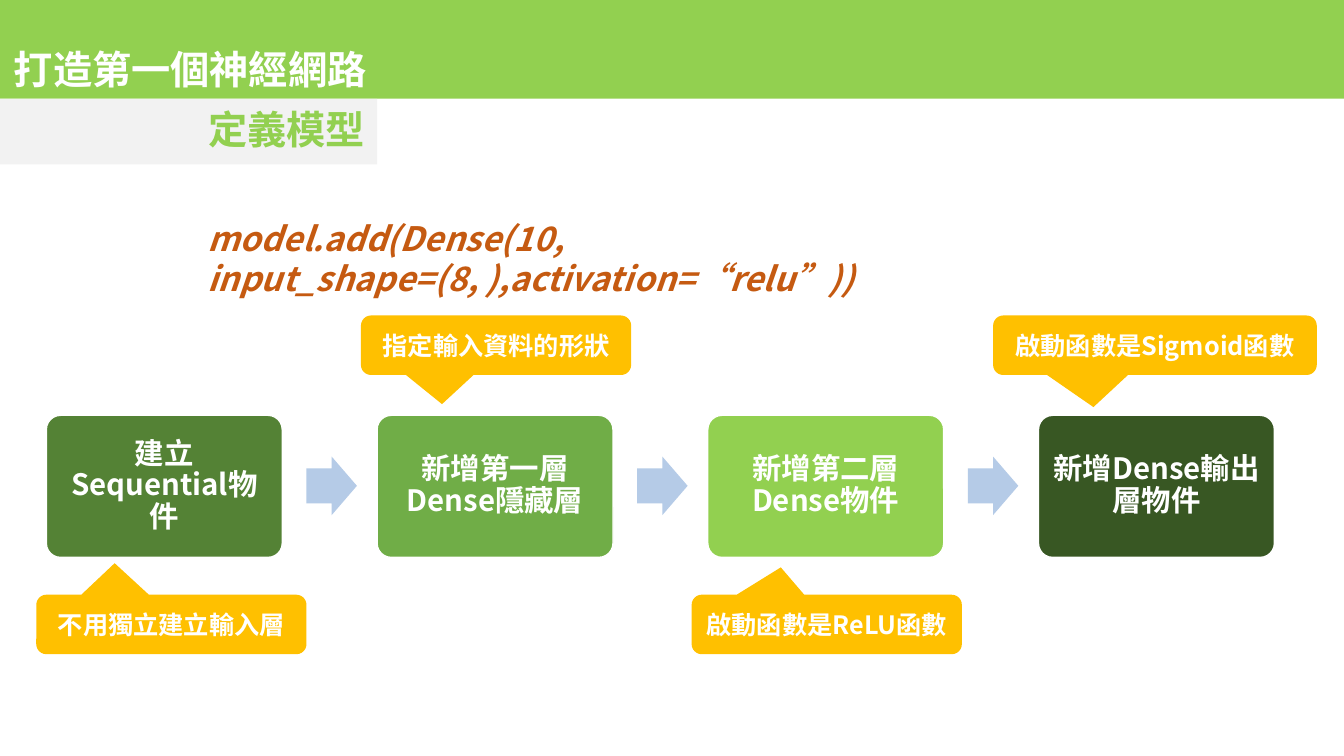
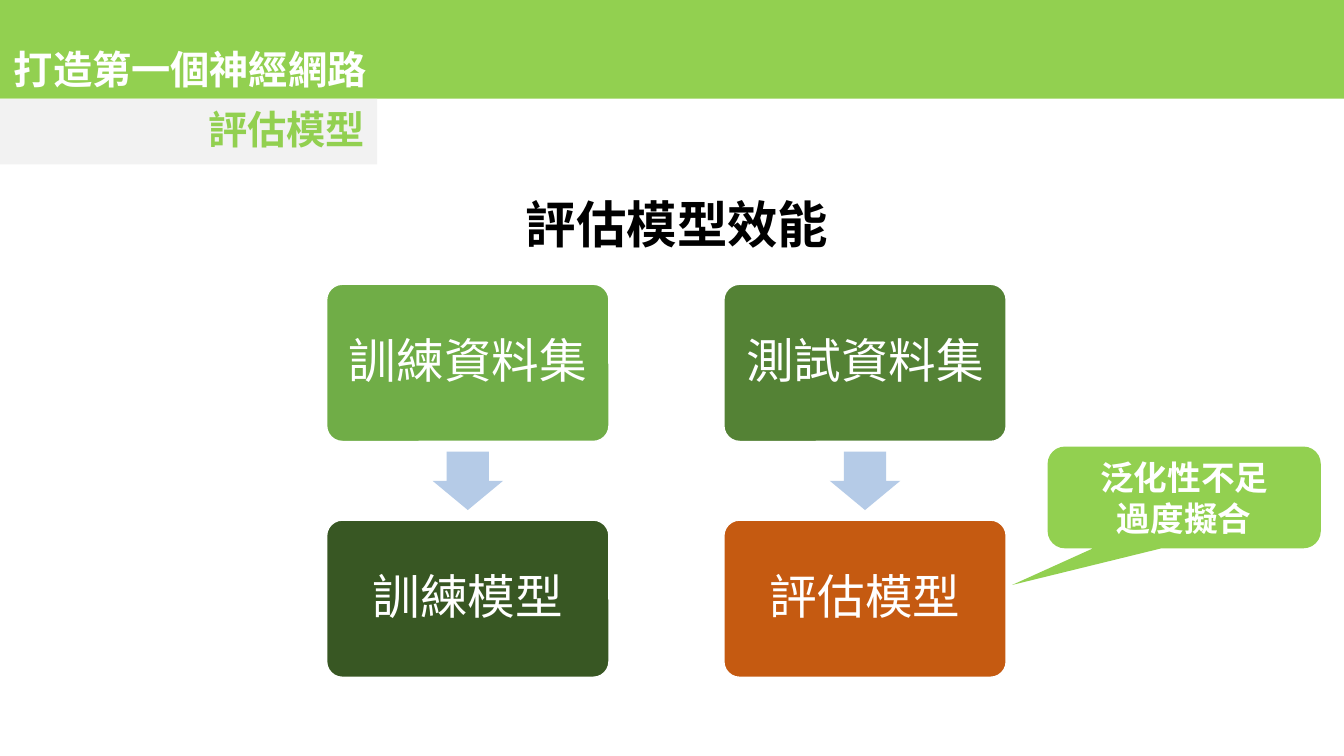
from pptx import Presentation
from pptx import util as u
from pptx.dml.color import RGBColor
from pptx.enum import shapes, text
from pptx.oxml.ns import qn

FONT = "Noto Sans CJK SC"
WHITE = RGBColor(0xFF, 0xFF, 0xFF)
BLACK = RGBColor(0x00, 0x00, 0x00)
LIME = RGBColor(0x92, 0xD0, 0x50)
GREEN = RGBColor(0x70, 0xAD, 0x47)
DARK_GREEN = RGBColor(0x54, 0x82, 0x35)
FOREST = RGBColor(0x38, 0x57, 0x23)
ORANGE = RGBColor(0xC5, 0x5A, 0x11)
AMBER = RGBColor(0xFF, 0xC0, 0x00)
PALE_BLUE = RGBColor(0xB5, 0xCB, 0xE7)
PALE_GRAY = RGBColor(0xF2, 0xF2, 0xF2)

SHAPE = shapes.MSO_SHAPE
ALIGN = text.PP_ALIGN
ANCHOR = text.MSO_ANCHOR
SLIDE_WIDTH, SLIDE_HEIGHT = 13.33, 7.5
CORNER = 0.1
CORNER_INSET_RATIO = 0.29


def write_text(shape, content, size, color=WHITE, bold=True, italic=False,
               align=ALIGN.CENTER, anchor=ANCHOR.MIDDLE, spacing=None, inset=None):
    frame = shape.text_frame
    frame.word_wrap = True
    frame.vertical_anchor = anchor
    if inset is not None:
        frame.margin_left = frame.margin_right = u.Inches(inset)
        frame.margin_top = frame.margin_bottom = u.Inches(inset)
    frame.text = content
    for paragraph in frame.paragraphs:
        paragraph.alignment = align
        if spacing:
            paragraph.line_spacing = spacing
        for run in paragraph.runs:
            font = run.font
            font.name = FONT
            font.size = u.Pt(size)
            font.bold = bold
            font.italic = italic
            font.color.rgb = color
            east_asian = font._element.makeelement(qn("a:ea"), {"typeface": FONT})
            font._element.find(qn("a:latin")).addnext(east_asian)


class Deck:
    def __init__(self):
        self.presentation = Presentation()
        self.presentation.slide_width = u.Inches(SLIDE_WIDTH)
        self.presentation.slide_height = u.Inches(SLIDE_HEIGHT)
        self.slide = None

    def start_slide(self, subtitle):
        blank_layout = self.presentation.slide_layouts[6]
        self.slide = self.presentation.slides.add_slide(blank_layout)
        self.shape(SHAPE.RECTANGLE, 0, 0, SLIDE_WIDTH, 0.98, LIME)
        subtitle_band = self.shape(SHAPE.RECTANGLE, 0, 0.98, 3.74, 0.65, PALE_GRAY)
        write_text(subtitle_band, subtitle, 28, color=LIME, align=ALIGN.RIGHT,
                   spacing=0.9, inset=0.12)
        self.label("打造第一個神經網路", 0.04, 0.24, 3.78, 0.88, size=28,
                   align=ALIGN.LEFT, anchor=ANCHOR.MIDDLE)

    def shape(self, kind, left, top, width, height, fill, adjustments=()):
        shape = self.slide.shapes.add_shape(
            kind, u.Inches(left), u.Inches(top), u.Inches(width), u.Inches(height))
        shape.shadow.inherit = False
        shape.fill.solid()
        shape.fill.fore_color.rgb = fill
        shape.line.fill.background()
        for index, value in enumerate(adjustments):
            shape.adjustments[index] = value
        return shape

    def label(self, content, left, top, width, height, anchor=ANCHOR.TOP, **style):
        box = self.slide.shapes.add_textbox(
            u.Inches(left), u.Inches(top), u.Inches(width), u.Inches(height))
        write_text(box, content, anchor=anchor, **style)

    def step(self, content, left, top, width, height, fill, inset, **style):
        box = self.shape(SHAPE.ROUNDED_RECTANGLE, left, top, width, height, fill, [CORNER])
        box.line.color.rgb = WHITE
        box.line.width = u.Pt(1)
        corner_inset = CORNER_INSET_RATIO * CORNER * height
        write_text(box, content, spacing=0.9, inset=inset - corner_inset, **style)

    def arrow(self, kind, left, top, width, height):
        self.shape(kind, left, top, width, height, PALE_BLUE, [0.6, 0.5])

    def callout(self, content, left, top, width, height, tip, fill=AMBER, size=18):
        bubble = self.shape(SHAPE.ROUNDED_RECTANGULAR_CALLOUT, left, top, width, height,
                            fill, [*tip, 0.17])
        write_text(bubble, content, size)


def build_definition_slide(deck):
    deck.start_slide("定義模型")
    steps = [("建立Sequential物件", DARK_GREEN), ("新增第一層Dense隱藏層", GREEN),
             ("新增第二層Dense物件", LIME), ("新增Dense輸出層物件", FOREST)]
    first_left, pitch = 0.46, 3.28
    for index, (content, fill) in enumerate(steps):
        left = first_left + index * pitch
        if index:
            deck.arrow(SHAPE.RIGHT_ARROW, left - 0.7, 4.53, 0.5, 0.58)
        deck.step(content, left, 4.12, 2.34, 1.41, fill, inset=0.13, size=21)

    above, below = 3.13, 5.9
    callouts = [("不用獨立建立輸入層", 0.36, below, 2.68, (-0.21, -1.03)),
                ("指定輸入資料的形狀", 3.58, above, 2.68, (-0.2, 0.99)),
                ("啟動函數是ReLU函數", 6.86, below, 2.68, (-0.17, -0.96)),
                ("啟動函數是Sigmoid函數", 9.85, above, 3.21, (-0.19, 1.04))]
    for content, left, top, width, tip in callouts:
        deck.callout(content, left, top, width, 0.59, tip)
    deck.label("model.add(Dense(10, input_shape=(8, ),activation=“relu”))",
               1.96, 2.11, 10.12, 0.5, size=24, color=ORANGE, italic=True,
               align=ALIGN.LEFT)


def build_evaluation_slide(deck):
    deck.start_slide("評估模型")
    deck.label("評估模型效能", 2.53, 1.87, 8.37, 0.71, size=36, color=BLACK)
    columns = [[("訓練資料集", GREEN), ("訓練模型", FOREST)],
               [("測試資料集", DARK_GREEN), ("評估模型", ORANGE)]]
    first_left, column_pitch = 3.24, 3.94
    first_top, row_pitch = 2.82, 2.34
    for column, boxes in enumerate(columns):
        left = first_left + column * column_pitch
        for row, (content, fill) in enumerate(boxes):
            deck.step(content, left, first_top + row * row_pitch, 2.8, 1.56, fill,
                      inset=0.19, size=34, bold=False)
        deck.arrow(SHAPE.DOWN_ARROW, left + 1.05, 4.48, 0.7, 0.58)
    deck.callout("泛化性不足\n過度擬合", 10.39, 4.43, 2.71, 1.01, (-0.63, 0.86),
                 fill=LIME, size=24)


def main():
    deck = Deck()
    build_definition_slide(deck)
    build_evaluation_slide(deck)
    deck.presentation.save("out.pptx")


if __name__ == "__main__":
    main()
